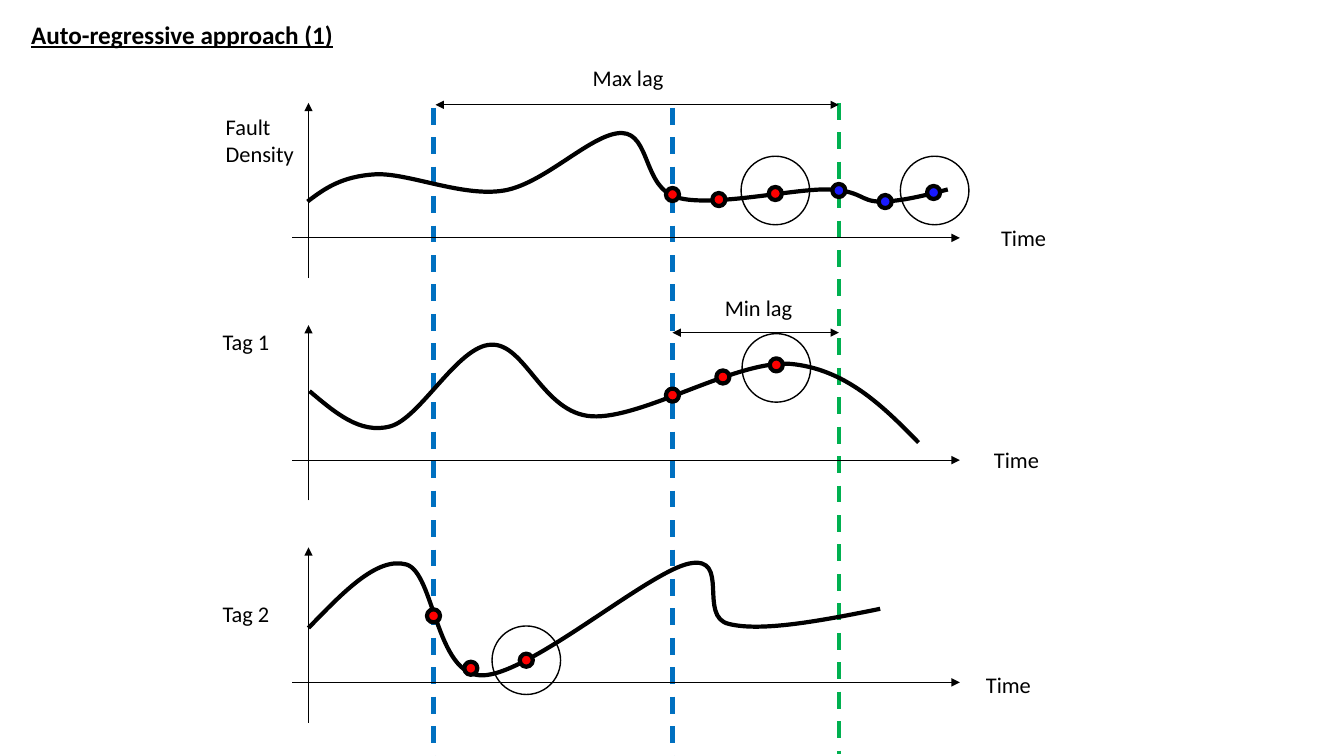
from dataclasses import dataclass
from typing import NamedTuple

from lxml import etree
from pptx import Presentation
from pptx.dml.color import RGBColor
from pptx.enum.dml import MSO_LINE
from pptx.enum.shapes import MSO_CONNECTOR, MSO_SHAPE
from pptx.enum.text import MSO_AUTO_SIZE
from pptx.oxml.ns import qn
from pptx.util import Emu, Inches, Pt

DASH = MSO_LINE.DASH
STRAIGHT = MSO_CONNECTOR.STRAIGHT
OVAL = MSO_SHAPE.OVAL
FIT_SHAPE = MSO_AUTO_SIZE.SHAPE_TO_FIT_TEXT

# The page is a grid of one-inch columns and rows
PAGE_COLUMNS, PAGE_ROWS = 13.33, 7.5


@dataclass(frozen=True)
class Theme:
    font: str = "Calibri"
    ink: str = "000000"
    lag_blue: str = "0070C0"
    now_green: str = "00B050"
    past_red: str = "FF0000"
    future_blue: str = "1919FF"
    title_size: float = 18
    label_size: float = 16
    thin: float = 0.75
    ring: float = 1
    bold_line: float = 3


class Point(NamedTuple):
    column: float
    row: float


class Label(NamedTuple):
    text: str
    column: float
    row: float
    width: float
    height: float = 0.37


class Panel(NamedTuple):
    name: Label
    time_column: float
    time_row: float
    curve: list[tuple[float, float]]
    past: list[tuple[float, float]]
    future: list[tuple[float, float]]
    rings: list[tuple[float, float]]


THEME = Theme()
AXIS_LEFT, AXIS_RIGHT, ORIGIN = 2.9, 9.52, 3.06
FIRST_BASE, PANEL_PITCH = 2.36, 2.205
AXIS_RISE, AXIS_DROP = 1.34, 0.4
MAX_LAG, MIN_LAG, NOW = 4.3, 6.67, 8.32
DOT_SIZE, RING_SIZE = 0.13, 0.68

# Each curve is a start point followed by triples of Bezier points
PANELS = [
    Panel(
        Label("Fault\nDensity", 2.14, 1.07, 0.89, 0.64), 9.83, 2.17,
        [(3.05, 2), (3.22, 1.87), (3.39, 1.75), (3.72, 1.73),
         (4.04, 1.71), (4.59, 1.96), (5, 1.89),
         (5.41, 1.82), (5.88, 1.31), (6.17, 1.32),
         (6.45, 1.33), (6.38, 1.87), (6.72, 1.96),
         (7.06, 2.06), (7.88, 1.87), (8.21, 1.88),
         (8.55, 1.89), (8.53, 2), (8.73, 2),
         (8.93, 2), (9.17, 1.94), (9.4, 1.88)],
        [(6.67, 1.93), (7.13, 1.98), (7.69, 1.92)],
        [(8.32, 1.89), (8.78, 2), (9.26, 1.91)],
        [(7.69, 1.89), (9.27, 1.89)],
    ),
    Panel(
        Label("Tag 1", 2.11, 3.21, 0.67), 9.76, 4.38,
        [(3.07, 3.88), (3.32, 4.09), (3.57, 4.31), (3.87, 4.23),
         (4.17, 4.15), (4.54, 3.43), (4.87, 3.42),
         (5.21, 3.4), (5.38, 4.1), (5.87, 4.13),
         (6.37, 4.16), (7.3, 3.57), (7.84, 3.61),
         (8.38, 3.66), (8.75, 4.02), (9.11, 4.39)],
        [(6.67, 3.92), (7.17, 3.74), (7.7, 3.62)], [],
        [(7.7, 3.65)],
    ),
    Panel(
        Label("Tag 2", 2.11, 5.9, 0.67), 9.68, 6.61,
        [(3.06, 6.23), (3.4, 5.88), (3.74, 5.52), (4.03, 5.6),
         (4.31, 5.68), (4.32, 6.7), (4.78, 6.7),
         (5.25, 6.7), (6.43, 5.67), (6.84, 5.59),
         (7.25, 5.51), (6.92, 6.12), (7.23, 6.19),
         (7.55, 6.27), (8.14, 6.16), (8.73, 6.04)],
        [(4.3, 6.11), (4.67, 6.63), (5.22, 6.55)], [],
        [(5.22, 6.55)],
    ),
]


def color(value: str) -> RGBColor:
    return RGBColor.from_string(value)


def draw_text(page, label: Label, *, size: float = THEME.label_size,
              bold: bool = False, underline: bool = False, wrap: bool = False) -> None:
    box = page.shapes.add_textbox(*(Inches(length) for length in label[1:]))
    frame = box.text_frame
    frame.word_wrap = wrap
    frame.auto_size = FIT_SHAPE
    frame.text = label.text
    for para in frame.paragraphs:
        for span in para.runs:
            span.font.name = THEME.font
            span.font.size = Pt(size)
            span.font.bold = bold
            span.font.underline = underline
            span.font.color.rgb = color(THEME.ink)


def draw_line(page, start: Point, end: Point, *, ink: str = THEME.ink,
              weight: float = THEME.thin, dashed: bool = False,
              arrows: tuple[str, ...] = ()) -> None:
    connector = page.shapes.add_connector(
        STRAIGHT, *(Inches(length) for length in (*start, *end)))
    connector.line.color.rgb = color(ink)
    connector.line.width = Pt(weight)
    if dashed:
        connector.line.dash_style = DASH
    outline = connector.line._get_or_add_ln()
    for arrow in arrows:
        etree.SubElement(outline, qn(f"a:{arrow}"), type="triangle")
    etree.SubElement(connector._element.spPr, qn("a:effectLst"))


def draw_circle(page, center: tuple[float, float], size: float, *,
                weight: float, fill: str | None = None) -> None:
    column, row = center
    circle = page.shapes.add_shape(OVAL, Inches(column - size / 2),
                                   Inches(row - size / 2), Inches(size), Inches(size))
    circle.shadow.inherit = False
    circle.line.color.rgb = color(THEME.ink)
    circle.line.width = Pt(weight)
    if fill:
        circle.fill.solid()
        circle.fill.fore_color.rgb = color(fill)
    else:
        circle.fill.background()


def draw_curve(page, points: list[tuple[float, float]]) -> None:
    places = [(Inches(column), Inches(row)) for column, row in points]
    builder = page.shapes.build_freeform(*places[0])
    builder.add_line_segments(places[1:], close=False)
    curve = builder.convert_to_shape(Emu(0), Emu(0))
    curve.shadow.inherit = False
    curve.fill.background()
    curve.line.color.rgb = color(THEME.ink)
    curve.line.width = Pt(THEME.bold_line)
    # Join every three straight steps into one Bezier segment
    steps = list(curve._element.iter(qn("a:lnTo")))
    for first in range(0, len(steps), 3):
        triple = steps[first:first + 3]
        bezier = etree.Element(qn("a:cubicBezTo"))
        triple[0].addprevious(bezier)
        for step in triple:
            bezier.append(step[0])
            step.getparent().remove(step)


deck = Presentation()
deck.slide_width, deck.slide_height = Inches(PAGE_COLUMNS), Inches(PAGE_ROWS)
page = deck.slides.add_slide(deck.slide_layouts[6])

# Lag guides
for column, top, bottom, ink in [(MAX_LAG, 1.07, 7.53, THEME.lag_blue),
                                 (MIN_LAG, 1.07, 7.53, THEME.lag_blue),
                                 (NOW, 1.02, 7.48, THEME.now_green)]:
    draw_line(page, Point(column, top), Point(column, min(bottom, PAGE_ROWS)),
              ink=ink, weight=THEME.bold_line, dashed=True)

# Panels: axes, names, curves, samples
for index, panel in enumerate(PANELS):
    base = FIRST_BASE + index * PANEL_PITCH
    draw_line(page, Point(AXIS_LEFT, base), Point(AXIS_RIGHT, base), arrows=("tailEnd",))
    draw_line(page, Point(ORIGIN, base + AXIS_DROP), Point(ORIGIN, base - AXIS_RISE),
              arrows=("tailEnd",))
    draw_text(page, panel.name)
    draw_text(page, Label("Time", panel.time_column, panel.time_row, 0.65))
    draw_curve(page, panel.curve)
    for samples, fill in [(panel.past, THEME.past_red), (panel.future, THEME.future_blue)]:
        for center in samples:
            draw_circle(page, center, DOT_SIZE, weight=THEME.bold_line, fill=fill)
    for center in panel.rings:
        draw_circle(page, center, RING_SIZE, weight=THEME.ring)

# Lag spans
for label, start, row in [(Label("Max lag", 5.78, 0.59, 0.91), MAX_LAG + 0.02, 1.04),
                          (Label("Min lag", 7.09, 2.87, 0.88), MIN_LAG, 3.3)]:
    draw_line(page, Point(NOW, row), Point(start, row), arrows=("headEnd", "tailEnd"))
    draw_text(page, label)

# Title
draw_text(page, Label("Auto-regressive approach (1)", 0.21, 0.14, 3.51, 0.4),
          size=THEME.title_size, bold=True, underline=True, wrap=True)

deck.save("out.pptx")
